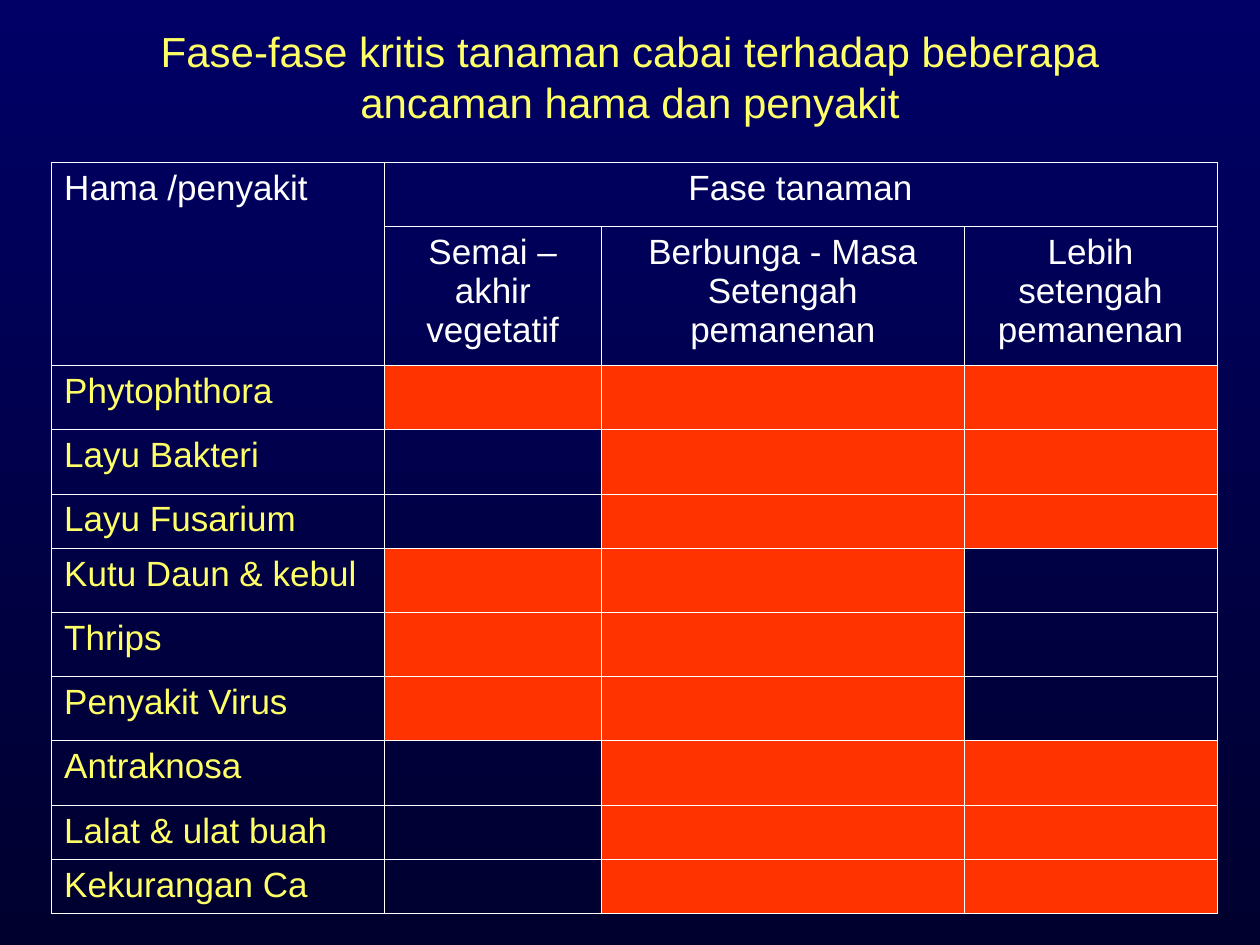
from dataclasses import dataclass

from lxml.etree import SubElement
from pptx import Presentation
from pptx.dml.color import RGBColor
from pptx.enum.text import MSO_ANCHOR, PP_ALIGN
from pptx.oxml.ns import qn
from pptx.util import Inches, Pt


@dataclass(frozen=True)
class Theme:
    font: str = "Arial"
    title_size: float = 24
    table_size: float = 20
    border_width: float = 0.45
    heading: str = "FFFF66"
    text: str = "FFFFFF"
    critical: str = "FF3300"
    sky_top: str = "000066"
    sky_bottom: str = "00002F"


THEME = Theme()

COLUMN_WIDTHS = (2.64, 1.73, 2.88, 2.01)
PHASES = (
    "Semai – akhir vegetatif",
    "Berbunga - Masa Setengah pemanenan",
    "Lebih setengah pemanenan",
)
HEADER_HEIGHTS = (0.51, 1.1)
TALL, SHORT = 0.51, 0.43
EARLY, LATE = (1, 2), (2, 3)
# Threat, row height, columns of its critical phases
THREATS = (
    ("Phytophthora", TALL, (1, 2, 3)),
    ("Layu Bakteri", TALL, LATE),
    ("Layu Fusarium", SHORT, LATE),
    ("Kutu Daun & kebul", TALL, EARLY),
    ("Thrips", TALL, EARLY),
    ("Penyakit Virus", TALL, EARLY),
    ("Antraknosa", TALL, LATE),
    ("Lalat & ulat buah", SHORT, LATE),
    ("Kekurangan Ca", SHORT, LATE),
)


def write(frame, text, *, size, color, align=PP_ALIGN.LEFT):
    paragraph = frame.paragraphs[0]
    paragraph.alignment = align
    run = paragraph.add_run()
    run.text = text
    run.font.name = THEME.font
    run.font.size = Pt(size)
    run.font.bold = False
    run.font.color.rgb = RGBColor.from_string(color)


def paint_background(slide):
    fill = slide.background.fill
    fill.gradient()
    fill.gradient_angle = 270
    for stop, color, position in zip(
        fill.gradient_stops, (THEME.sky_top, THEME.sky_bottom), (0, 1)
    ):
        stop.color.rgb = RGBColor.from_string(color)
        stop.position = position


def place_title(slide, left, top, width, height):
    title = slide.shapes.title
    title.left, title.top = left, top
    title.width, title.height = width, height
    frame = title.text_frame
    frame.word_wrap = True
    frame.vertical_anchor = MSO_ANCHOR.MIDDLE
    write(
        frame,
        "Fase-fase kritis tanaman cabai terhadap beberapa ancaman hama dan penyakit",
        size=THEME.title_size,
        color=THEME.heading,
        align=PP_ALIGN.CENTER,
    )


def style_cell(cell, critical):
    # Borders come before the fill in the cell properties
    properties = cell._tc.get_or_add_tcPr()
    for side in ("a:lnL", "a:lnR", "a:lnT", "a:lnB"):
        line = SubElement(properties, qn(side), w=str(Pt(THEME.border_width)))
        solid = SubElement(line, qn("a:solidFill"))
        SubElement(solid, qn("a:srgbClr"), val=THEME.text)
    if critical:
        cell.fill.solid()
        cell.fill.fore_color.rgb = RGBColor.from_string(THEME.critical)
    else:
        cell.fill.background()


def place_phase_table(slide, left, top, width, height):
    heights = HEADER_HEIGHTS + tuple(row_height for _, row_height, _ in THREATS)
    table = slide.shapes.add_table(
        len(heights), len(COLUMN_WIDTHS), left, top, width, height
    ).table
    table.first_row = table.horz_banding = False
    for column, share in zip(table.columns, COLUMN_WIDTHS):
        column.width = int(width * share / sum(COLUMN_WIDTHS))
    for row, share in zip(table.rows, heights):
        row.height = int(height * share / sum(heights))

    # Critical phases per threat, none in the header rows
    critical_columns = [()] * len(HEADER_HEIGHTS) + [columns for *_, columns in THREATS]
    for r, columns in enumerate(critical_columns):
        for c in range(len(COLUMN_WIDTHS)):
            style_cell(table.cell(r, c), c in columns)

    # Header
    header = {"size": THEME.table_size, "color": THEME.text}
    table.cell(0, 0).merge(table.cell(1, 0))
    table.cell(0, 1).merge(table.cell(0, 3))
    write(table.cell(0, 0).text_frame, "Hama /penyakit", **header)
    write(table.cell(0, 1).text_frame, "Fase tanaman", align=PP_ALIGN.CENTER, **header)
    for c, phase in enumerate(PHASES, start=1):
        write(table.cell(1, c).text_frame, phase, align=PP_ALIGN.CENTER, **header)

    # Threat names
    for r, (threat, *_) in enumerate(THREATS, start=len(HEADER_HEIGHTS)):
        write(
            table.cell(r, 0).text_frame,
            threat,
            size=THEME.table_size,
            color=THEME.heading,
        )


def main():
    deck = Presentation()
    deck.slide_width, deck.slide_height = Inches(10), Inches(7.5)
    slide = deck.slides.add_slide(deck.slide_layouts[5])
    paint_background(slide)
    place_title(slide, Inches(0.5), Inches(-0.02), Inches(9), Inches(1.25))
    place_phase_table(slide, Inches(0.41), Inches(1.29), Inches(9.25), Inches(5.96))
    deck.save("out.pptx")


if __name__ == "__main__":
    main()
